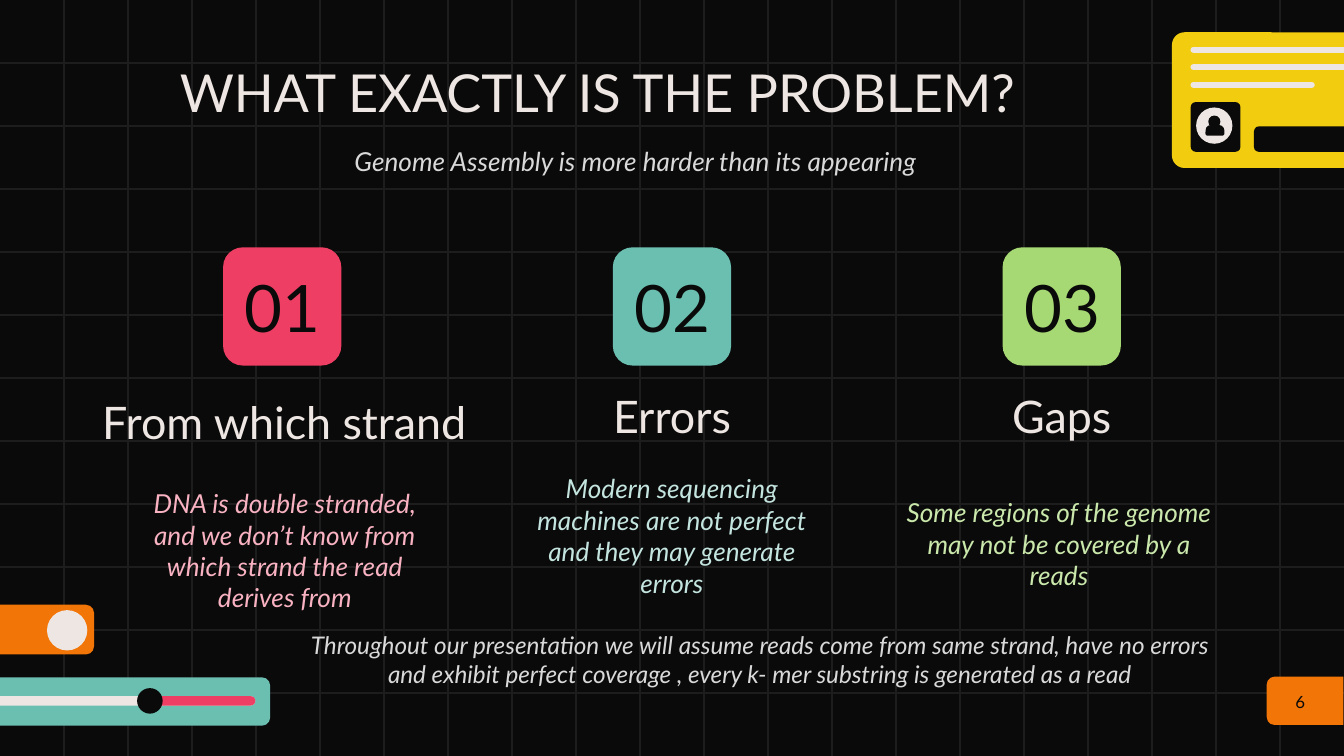
import pptx
import pptx.dml.color
import pptx.enum.shapes
import pptx.enum.text
import pptx.oxml.ns
import pptx.util
from dataclasses import dataclass
from lxml import etree

Inches = pptx.util.Inches
Pt = pptx.util.Pt
Kind = pptx.enum.shapes.MSO_SHAPE
Align = pptx.enum.text.PP_ALIGN
Anchor = pptx.enum.text.MSO_ANCHOR
WIDTH, HEIGHT = 10, 5.625


@dataclass(frozen=True)
class Theme:
    font: str = "Lato"
    black: str = "0A0A0A"
    grid: str = "1D1D1D"
    cream: str = "EEE6E2"
    gray: str = "D9D9D9"
    pink: str = "EE3E63"
    teal: str = "6BBFB0"
    green: str = "A6D973"
    orange: str = "F27507"
    yellow: str = "F2CC0F"
    light_pink: str = "F8B2C1"
    light_teal: str = "C4E5DF"
    light_green: str = "CAE8AB"
    number: float = 35
    title: float = 28
    heading: float = 24
    body: float = 14
    note: float = 13
    page: float = 9


def rgb(color):
    return pptx.dml.color.RGBColor.from_string(color)


def write_text(frame, text, *, size, color, font, italic=False,
               align=Align.CENTER, anchor=Anchor.MIDDLE, inset=0.1):
    frame.word_wrap = True
    frame.vertical_anchor = anchor
    frame.margin_left = frame.margin_right = Inches(0.1)
    frame.margin_top = frame.margin_bottom = Inches(inset)
    paragraph = frame.paragraphs[0]
    paragraph.alignment = align
    run = paragraph.add_run()
    run.text = text
    run.font.name = font
    run.font.size = Pt(size)
    run.font.italic = italic
    run.font.color.rgb = rgb(color)


class SlideBuilder:
    def __init__(self, slide, theme):
        self.slide = slide
        self.theme = theme
        fill = slide.background.fill
        fill.solid()
        fill.fore_color.rgb = rgb(theme.black)

    def shape(self, kind, box, color, *adjustments):
        shape = self.slide.shapes.add_shape(kind, *map(Inches, box))
        shape.shadow.inherit = False
        shape.fill.solid()
        shape.fill.fore_color.rgb = rgb(color)
        shape.line.fill.background()
        for index, value in enumerate(adjustments):
            shape.adjustments[index] = value
        return shape

    def rounded(self, box, color, radius=0.167):
        return self.shape(Kind.ROUNDED_RECTANGLE, box, color, radius)

    def oval(self, box, color):
        return self.shape(Kind.OVAL, box, color)

    def line(self, start, end, color, width, round_cap=False):
        connector = self.slide.shapes.add_connector(
            pptx.enum.shapes.MSO_CONNECTOR.STRAIGHT, *map(Inches, start + end))
        connector.line.color.rgb = rgb(color)
        connector.line.width = Pt(width)
        properties = connector._element.spPr
        if round_cap:
            properties.find(pptx.oxml.ns.qn("a:ln")).set("cap", "rnd")
        etree.SubElement(properties, pptx.oxml.ns.qn("a:effectLst"))

    def text(self, box, text, **style):
        textbox = self.slide.shapes.add_textbox(*map(Inches, box))
        write_text(textbox.text_frame, text, font=self.theme.font, **style)


def draw_grid(builder):
    columns, rows = 21, 12
    color = builder.theme.grid
    for row in range(1, rows):
        y = row * HEIGHT / rows
        builder.line((0, y), (WIDTH, y), color, 0.75)
    for column in range(1, columns):
        x = column * WIDTH / columns
        builder.line((x, 0), (x, HEIGHT), color, 0.75)


def draw_slider(builder):
    theme = builder.theme
    builder.rounded((-0.44, 5.04, 2.45, 0.36), theme.teal)
    builder.rounded((-0.33, 5.18, 2.23, 0.07), theme.cream, 0.5)
    builder.rounded((1.09, 5.18, 0.81, 0.07), theme.pink, 0.5)
    builder.oval((1.02, 5.12, 0.19, 0.19), theme.black)


def draw_profile_card(builder):
    theme = builder.theme
    builder.rounded((8.72, 0.24, 1.46, 1.01), theme.yellow, 0.093)
    for y, right in ((0.37, 10.03), (0.5, 10.03), (0.63, 9.76)):
        builder.line((8.88, y), (right, y), theme.cream, 3.25, round_cap=True)
    builder.rounded((8.86, 0.76, 0.37, 0.37), theme.black, 0.1)
    builder.oval((8.9, 0.8, 0.27, 0.27), theme.cream)
    builder.rounded((9.33, 0.94, 0.71, 0.19), theme.black, 0.2)
    builder.oval((8.99, 0.86, 0.09, 0.09), theme.black)
    builder.shape(Kind.ROUND_2_SAME_RECTANGLE, (8.97, 0.93, 0.14, 0.08),
                  theme.black, 0.5, 0.2)


def draw_toggle(builder):
    builder.rounded((-0.18, 4.5, 0.88, 0.37), builder.theme.orange)
    builder.oval((0.35, 4.54, 0.3, 0.3), builder.theme.cream)


def draw_page_number(builder):
    theme = builder.theme
    tab = builder.shape(Kind.ROUND_2_SAME_RECTANGLE, (9.53, 4.93, 0.36, 0.57),
                        theme.orange, 0, 0.162)
    tab.rotation = 90
    builder.text((9.43, 5.04, 0.49, 0.36), "6",
                 size=theme.page, color=theme.black)


def draw_problems(builder):
    theme = builder.theme
    problems = (
        ("From which strand", (0.57, 2.93, 3.09, 0.41),
         "DNA is double stranded, and we don’t know from which strand the "
         "read derives from", (0.87, 3.61), theme.pink, theme.light_pink),
        ("Errors", (3.75, 2.89, 2.5, 0.41),
         "Modern sequencing machines are not perfect and they may generate "
         "errors", (3.75, 3.5), theme.teal, theme.light_teal),
        ("Gaps", (6.65, 2.89, 2.5, 0.41),
         "Some regions of the genome may not be covered by a reads",
         (6.63, 3.56), theme.green, theme.light_green),
    )
    for index, problem in enumerate(problems):
        heading, heading_box, body, corner, color, body_color = problem
        left = 1.66 + 2.9 * index
        builder.rounded((left, 1.84, 0.88, 0.88), color)
        builder.text((left - 0.04, 1.99, 0.97, 0.58), f"{index + 1:02}",
                     size=theme.number, color=theme.black)
        builder.text(heading_box, heading,
                     size=theme.heading, color=theme.cream)
        builder.text(corner + (2.5, 0.97), body,
                     size=theme.body, color=body_color, italic=True)


def main():
    presentation = pptx.Presentation()
    presentation.slide_width = Inches(WIDTH)
    presentation.slide_height = Inches(HEIGHT)
    theme = Theme()
    slide = presentation.slides.add_slide(presentation.slide_layouts[6])
    builder = SlideBuilder(slide, theme)

    draw_grid(builder)
    draw_slider(builder)
    draw_profile_card(builder)
    draw_toggle(builder)
    draw_problems(builder)
    draw_page_number(builder)
    builder.text((1.24, 0.35, 8.43, 0.65), "WHAT EXACTLY IS THE PROBLEM?",
                 size=theme.title, color=theme.cream,
                 align=Align.LEFT, anchor=Anchor.TOP)
    builder.text((1.43, 0.71, 6.6, 0.97),
                 "Genome Assembly is more harder than its appearing",
                 size=theme.body, color=theme.gray, italic=True)
    builder.text((2.12, 4.64, 7.06, 0.76),
                 "Throughout our presentation we will assume reads come from "
                 "same strand, have no errors and exhibit perfect coverage , "
                 "every k- mer substring is generated as a read",
                 size=theme.note, color=theme.gray, italic=True,
                 anchor=Anchor.TOP, inset=0.05)
    presentation.save("out.pptx")


if __name__ == "__main__":
    main()
